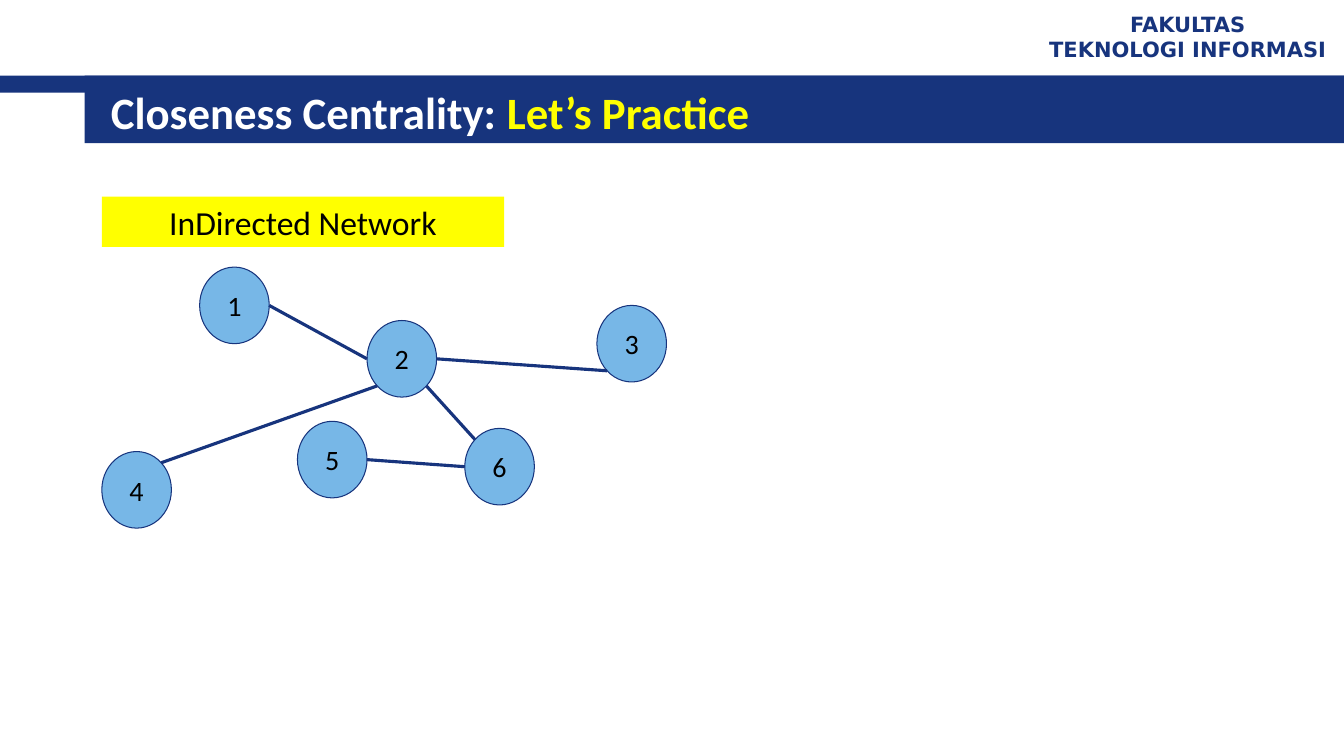
from math import cos, radians, sin

from lxml import etree
from pptx import Presentation
from pptx.dml.color import RGBColor
from pptx.enum.shapes import MSO_CONNECTOR, MSO_SHAPE
from pptx.enum.text import MSO_ANCHOR, PP_ALIGN
from pptx.oxml.ns import qn
from pptx.util import Inches, Pt

RECT, OVAL = MSO_SHAPE.RECTANGLE, MSO_SHAPE.OVAL
STRAIGHT = MSO_CONNECTOR.STRAIGHT
MIDDLE = MSO_ANCHOR.MIDDLE
LEFT, CENTER = PP_ALIGN.LEFT, PP_ALIGN.CENTER

NAVY = RGBColor(0x17, 0x34, 0x7D)
SKY = RGBColor(0x77, 0xB7, 0xE7)
YELLOW = RGBColor(0xFF, 0xFF, 0x00)
WHITE = RGBColor(0xFF, 0xFF, 0xFF)
BLACK = RGBColor(0x00, 0x00, 0x00)

# Content
FACULTY = ["FAKULTAS", "TEKNOLOGI INFORMASI"]
TITLE = [("Closeness Centrality: ", WHITE), ("Let’s Practice", YELLOW)]
NETWORK = "InDirected Network"
BARS = [(0, 0.75, 13.33, 0.17), (0.84, 0.75, 12.5, 0.67)]

NODE_W, NODE_H = 0.69, 0.76
NODES = {  # label: left, top
    "6": (4.61, 4.25),
    "1": (1.98, 2.65),
    "4": (1.01, 4.48),
    "3": (5.92, 3.03),
    "2": (3.64, 3.18),
    "5": (2.95, 4.18),
}
# node, angle where the edge leaves it (clockwise from the right), node, angle
EDGES = [
    ("4", 315, "2", 135),
    ("2", 180, "1", 0),
    ("3", 135, "2", 0),
    ("6", 180, "5", 0),
    ("2", 45, "6", 225),
]


def add_run(p, text, size, color, font="Calibri", bold=False):
    r = p.add_run()
    r.text = text
    r.font.name, r.font.size, r.font.bold = font, Pt(size), bold
    r.font.color.rgb = color


def add_box(s, kind, box, fill, line=None):
    sp = s.shapes.add_shape(kind, *map(Inches, box))
    sp.shadow.inherit = False
    sp.fill.solid()
    sp.fill.fore_color.rgb = fill
    if line is None:
        sp.line.fill.background()
    else:
        sp.line.color.rgb = line
        sp.line.width = Pt(0.75)
    return sp


def rim_point(label, angle):
    left, top = NODES[label]
    a = radians(angle)
    return (Inches(left + NODE_W / 2 * (1 + cos(a))),
            Inches(top + NODE_H / 2 * (1 + sin(a))))


prs = Presentation()
prs.slide_width, prs.slide_height = Inches(13.33), Inches(7.5)
s = prs.slides.add_slide(prs.slide_layouts[5])

# Title on its band
title = s.shapes.title
title.left, title.top = Inches(1), Inches(0.8)
title.width, title.height = Inches(11.89), Inches(0.62)
tf = title.text_frame
tf.vertical_anchor = MIDDLE
p = tf.paragraphs[0]
p.alignment = LEFT
for text, color in TITLE:
    add_run(p, text, 32, color, bold=True)
for bar in BARS:
    title.element.addprevious(add_box(s, RECT, bar, NAVY).element)

# Faculty name
tb = s.shapes.add_textbox(Inches(10.23), Inches(0.05), Inches(3.1), Inches(0.62))
tf = tb.text_frame
tf.word_wrap = True
tf.vertical_anchor = MIDDLE
for i, text in enumerate(FACULTY):
    p = tf.add_paragraph() if i else tf.paragraphs[0]
    p.alignment = CENTER
    add_run(p, text, 15, NAVY, "DejaVu Sans", True)

# Network nodes
for label, (left, top) in NODES.items():
    sp = add_box(s, OVAL, (left, top, NODE_W, NODE_H), SKY, NAVY)
    tf = sp.text_frame
    tf.word_wrap = False
    tf.vertical_anchor = MIDDLE
    tf.paragraphs[0].alignment = CENTER
    add_run(tf.paragraphs[0], label, 20, BLACK)

# Network edges
for start, start_angle, end, end_angle in EDGES:
    edge = s.shapes.add_connector(STRAIGHT, *rim_point(start, start_angle),
                                  *rim_point(end, end_angle))
    edge.line.color.rgb = NAVY
    edge.line.width = Pt(2.25)
    etree.SubElement(edge.element.spPr, qn("a:effectLst"))

# Network caption
tf = add_box(s, RECT, (1.01, 1.95, 3.99, 0.5), YELLOW).text_frame
tf.word_wrap = True
tf.vertical_anchor = MIDDLE
p = tf.paragraphs[0]
p.alignment = CENTER
add_run(p, NETWORK, 24, BLACK)

prs.save("out.pptx")
